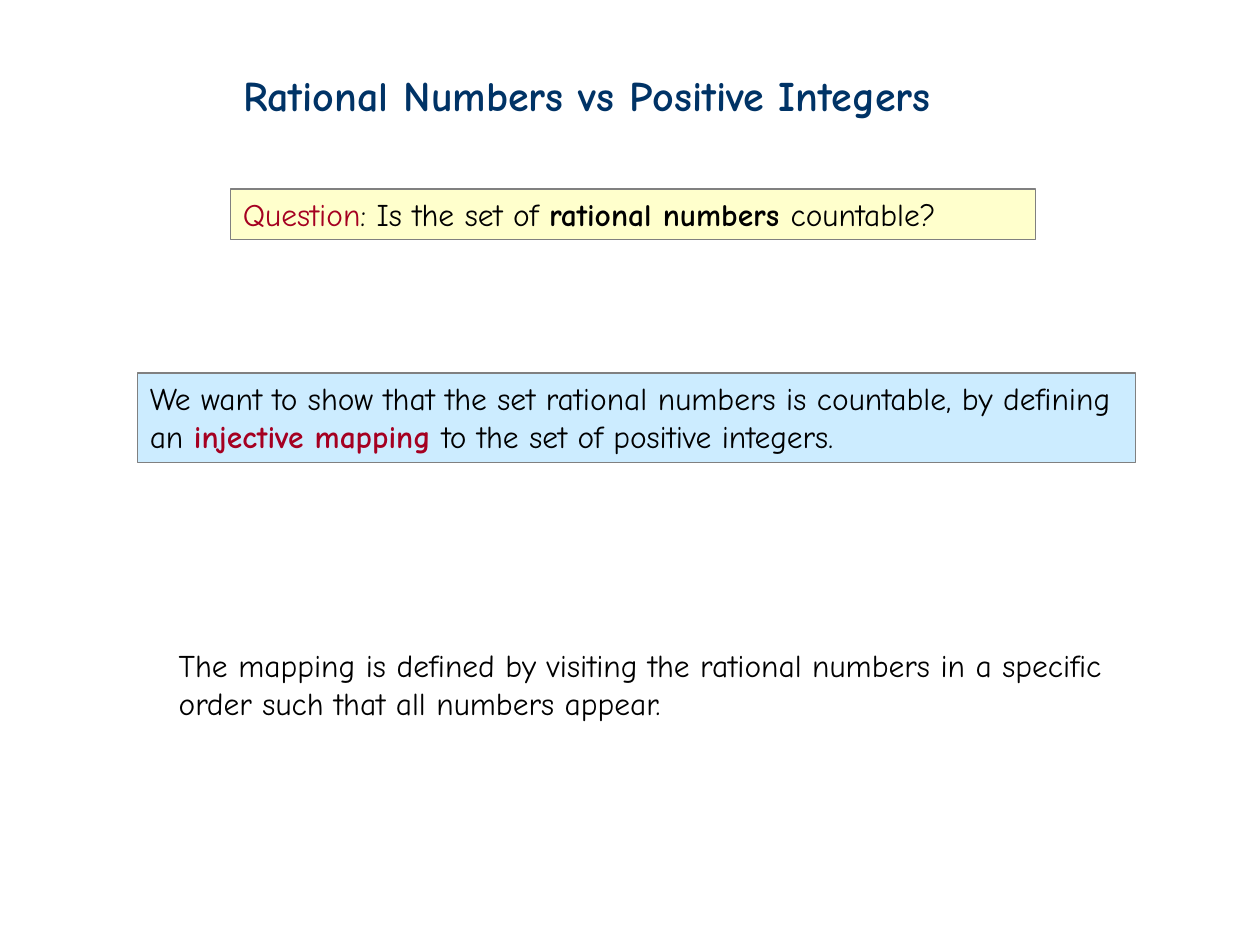
from pptx import Presentation
from pptx.dml.color import RGBColor
from pptx.enum.shapes import MSO_SHAPE
from pptx.enum.text import MSO_ANCHOR, MSO_AUTO_SIZE, PP_ALIGN
from pptx.util import Inches, Pt

RECT = MSO_SHAPE.RECTANGLE
TOP = MSO_ANCHOR.TOP
LEFT = PP_ALIGN.LEFT
NO_FIT = MSO_AUTO_SIZE.NONE

FONT = "Comic Neue"
TITLE_ONLY = 5
COLORS = {
    "text": "000000",
    "title": "003366",
    "accent": "A50021",
    "border": "808080",
    "question": "FFFFCC",
    "goal": "CCECFF",
}


def rgb(name):
    return RGBColor.from_string(COLORS[name])


def add_run(p, text, size=18, color="text", bold=False):
    r = p.add_run()
    r.text = text
    r.font.name = FONT
    r.font.size = Pt(size)
    r.font.bold = bold
    r.font.color.rgb = rgb(color)


def start_text(sp):
    """Prepare a wrapped, left-aligned frame and return its paragraph."""
    tf = sp.text_frame
    tf.word_wrap = True
    tf.auto_size = NO_FIT
    tf.vertical_anchor = TOP
    p = tf.paragraphs[0]
    p.alignment = LEFT
    return p


def place_title(s, box, text):
    sp = s.shapes.title
    sp.left, sp.top, sp.width, sp.height = map(Inches, box)
    add_run(start_text(sp), text, size=24, color="title", bold=True)


def add_panel(s, box, runs, fill):
    sp = s.shapes.add_shape(RECT, *map(Inches, box))
    sp.shadow.inherit = False
    sp.fill.solid()
    sp.fill.fore_color.rgb = rgb(fill)
    sp.line.color.rgb = rgb("border")
    sp.line.width = Pt(0.75)
    p = start_text(sp)
    for text, fmt in runs:
        add_run(p, text, **fmt)


def add_note(s, box, text):
    sp = s.shapes.add_textbox(*map(Inches, box))
    add_run(start_text(sp), text)


def main():
    prs = Presentation()
    prs.slide_width, prs.slide_height = Inches(10), Inches(7.5)
    s = prs.slides.add_slide(prs.slide_layouts[TITLE_ONLY])

    # Title
    place_title(s, (1.83, 0.5, 6.38, 0.5), "Rational Numbers vs Positive Integers")

    # Question
    add_panel(s, (1.83, 1.5, 6.39, 0.4), [
        ("Question", {"color": "accent"}),
        (": Is the set of ", {}),
        ("rational numbers ", {"bold": True}),
        ("countable?", {}),
    ], "question")

    # Goal of the proof
    add_panel(s, (1.09, 2.96, 7.92, 0.71), [
        ("We want to show that the set rational numbers is countable, "
         "by defining an ", {}),
        ("injective mapping ", {"color": "accent", "bold": True}),
        ("to the set of positive integers.", {}),
    ], "goal")

    # How the mapping is defined
    add_note(s, (1.32, 5.08, 7.68, 0.71),
             "The mapping is defined by visiting the rational numbers in a "
             "specific order such that all numbers appear.")

    prs.save("out.pptx")


if __name__ == "__main__":
    main()
